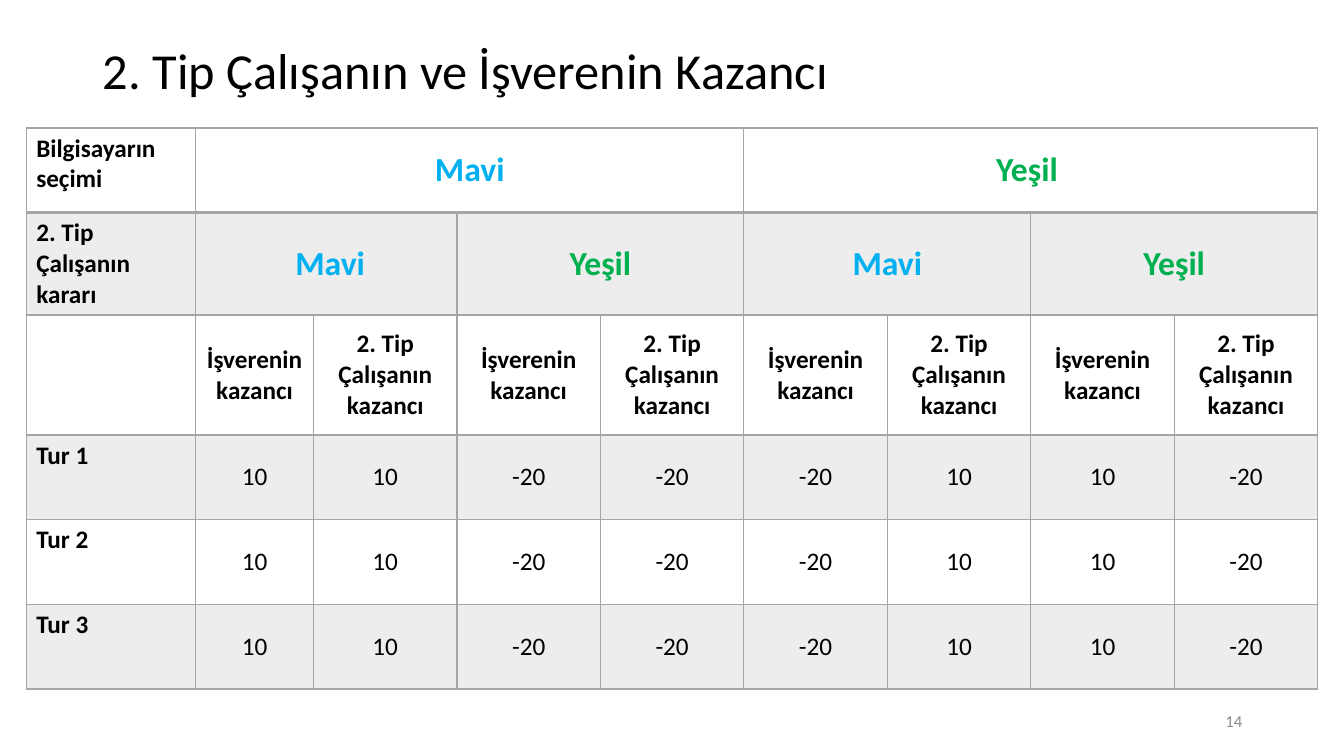
from lxml.etree import SubElement
from pptx import Presentation
from pptx.dml.color import RGBColor
from pptx.enum.text import MSO_ANCHOR as Anchor, PP_ALIGN as Align
from pptx.oxml.ns import qn
from pptx.util import Inches, Pt

BLACK = RGBColor(0x00, 0x00, 0x00)
BLUE = RGBColor(0x00, 0xB0, 0xF0)
GREEN = RGBColor(0x00, 0xB0, 0x50)
GRAY = RGBColor(0xA5, 0xA5, 0xA5)
PAGE_GRAY = RGBColor(0x8C, 0x8C, 0x8C)

TABLE_WIDTH = 12.81
LABEL_WIDTH, FIRST_WIDTH = 1.68, 1.17
PAYOFF_WIDTH = (TABLE_WIDTH - LABEL_WIDTH - FIRST_WIDTH) / 7
COLUMN_WIDTHS = [LABEL_WIDTH, FIRST_WIDTH] + [PAYOFF_WIDTH] * 7
ROW_HEIGHTS = [0.84, 0.84, 1.19, 0.84, 0.84, 0.84]
ROW_LABELS = ["Bilgisayarın seçimi", "2. Tip Çalışanın kararı", "",
              "Tur 1", "Tur 2", "Tur 3"]
# Row, first column, column span, text, colour
CHOICES = [
    (0, 1, 4, " Mavi ", BLUE), (0, 5, 4, "Yeşil ", GREEN),
    (1, 1, 2, " Mavi", BLUE), (1, 3, 2, "Yeşil", GREEN),
    (1, 5, 2, "Mavi", BLUE), (1, 7, 2, "Yeşil", GREEN),
]
PAYOFF_HEADINGS = ["İşverenin kazancı", "2. Tip Çalışanın kazancı"] * 4
PAYOFFS = [10, 10, -20, -20, -20, 10, 10, -20]


class SlideBuilder:
    font = "Calibri"

    def __init__(self, presentation):
        self.slide = presentation.slides.add_slide(presentation.slide_layouts[5])

    def set_text(self, frame, text, size, color=BLACK, bold=False, align=Align.LEFT):
        frame.text = text
        frame.word_wrap = True
        paragraph = frame.paragraphs[0]
        paragraph.alignment = align
        for run in paragraph.runs:
            run.font.name = self.font
            run.font.size = Pt(size)
            run.font.bold = bold
            run.font.color.rgb = color
        return paragraph

    def title(self, text, left, top, width, height):
        title = self.slide.shapes.title
        title.left, title.top = Inches(left), Inches(top)
        title.width, title.height = Inches(width), Inches(height)
        title.text_frame.vertical_anchor = Anchor.MIDDLE
        self.set_text(title.text_frame, text, 36).line_spacing = 0.9

    def page_number(self, text, left, top, width, height):
        box = self.slide.shapes.add_textbox(
            Inches(left), Inches(top), Inches(width), Inches(height))
        box.text_frame.vertical_anchor = Anchor.MIDDLE
        self.set_text(box.text_frame, text, 12, PAGE_GRAY, align=Align.RIGHT)

    def table(self, left, top, widths, heights):
        frame = self.slide.shapes.add_table(
            len(heights), len(widths), Inches(left), Inches(top),
            Inches(sum(widths)), Inches(sum(heights)))
        table = frame.table
        table.first_row = table.horz_banding = False
        for column, width in zip(table.columns, widths):
            column.width = Inches(width)
        for index, (row, height) in enumerate(zip(table.rows, heights)):
            row.height = Inches(height)
            for cell in row.cells:
                self.style_cell(cell, index)
        return table

    def style_cell(self, cell, row):
        properties = cell._tc.get_or_add_tcPr()
        # Thin grid with a heavier rule below the first row
        widths = {"L": 1, "R": 1, "T": 2 if row == 1 else 1, "B": 2 if row == 0 else 1}
        for side, width in widths.items():
            line = SubElement(properties, qn(f"a:ln{side}"), w=str(Pt(width)))
            fill = SubElement(line, qn("a:solidFill"))
            SubElement(fill, qn("a:srgbClr"), val=str(GRAY))
        # Every second row has a translucent gray band
        if row % 2:
            cell.fill.solid()
            cell.fill.fore_color.rgb = GRAY
            color = properties.find(qn("a:solidFill")).find(qn("a:srgbClr"))
            SubElement(color, qn("a:alpha"), val="20000")
        else:
            cell.fill.background()

    def centered_cell(self, cell, text, size, color=BLACK, bold=True):
        cell.vertical_anchor = Anchor.MIDDLE
        self.set_text(cell.text_frame, text, size, color, bold, Align.CENTER)


def main():
    presentation = Presentation()
    presentation.slide_width = Inches(13.33)
    presentation.slide_height = Inches(7.5)
    builder = SlideBuilder(presentation)

    # Title
    builder.title("2. Tip Çalışanın ve İşverenin Kazancı", 0.92, 0.4, 11.5, 0.66)

    # Table grid and row labels
    table = builder.table(0.26, 1.27, COLUMN_WIDTHS, ROW_HEIGHTS)
    for row, label in enumerate(ROW_LABELS):
        builder.set_text(table.cell(row, 0).text_frame, label, 18, bold=True)

    # Merged choice headings
    for row, column, span, text, color in CHOICES:
        cell = table.cell(row, column)
        cell.merge(table.cell(row, column + span - 1))
        builder.centered_cell(cell, text, 24, color)

    # Payoff headings and values for the three rounds
    for column, (heading, payoff) in enumerate(zip(PAYOFF_HEADINGS, PAYOFFS), start=1):
        builder.centered_cell(table.cell(2, column), heading, 18)
        for row in range(3, 6):
            builder.centered_cell(table.cell(row, column), str(payoff), 18, bold=False)

    # Page number
    builder.page_number("14", 9.42, 6.95, 3, 0.4)
    presentation.save("out.pptx")


if __name__ == "__main__":
    main()
